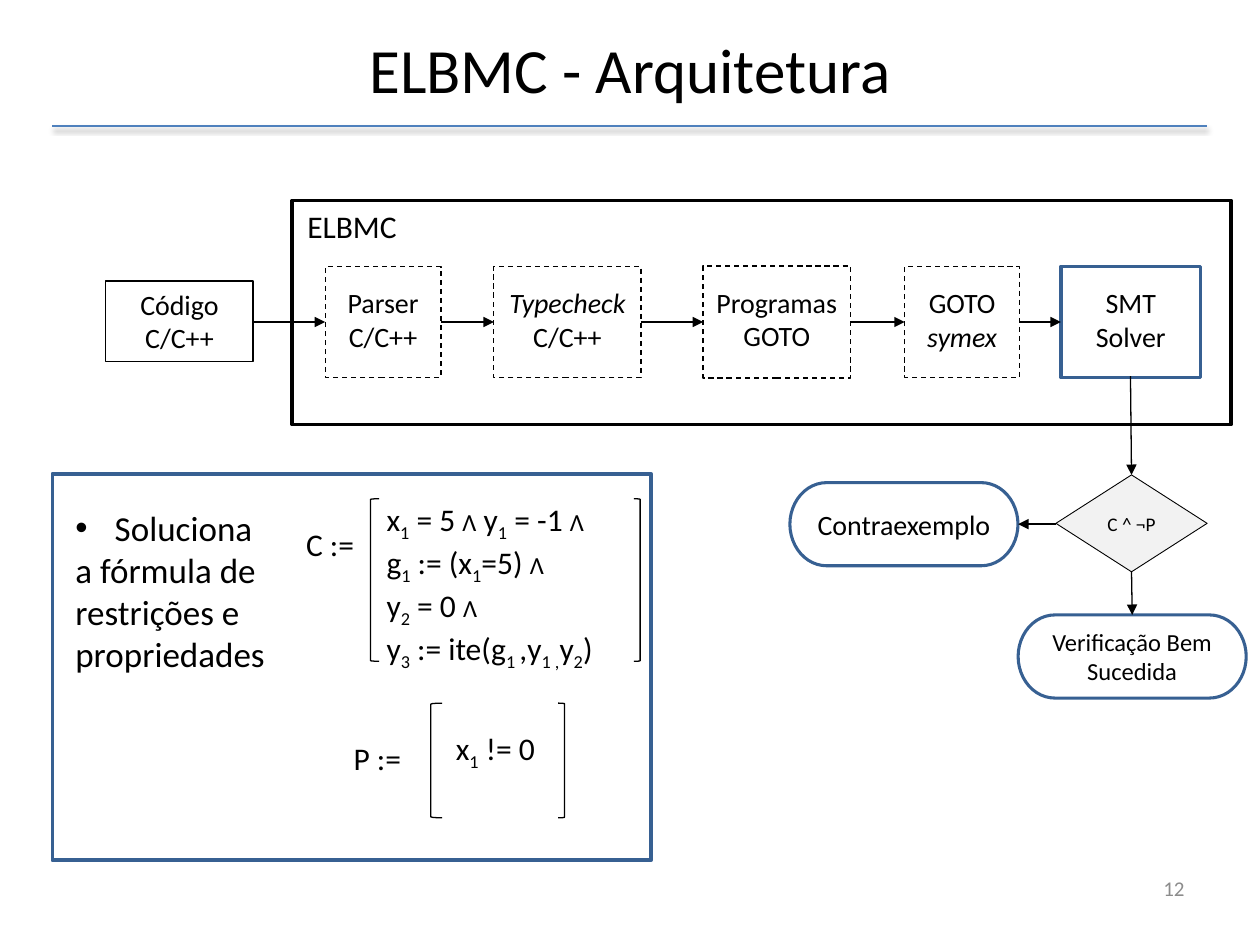
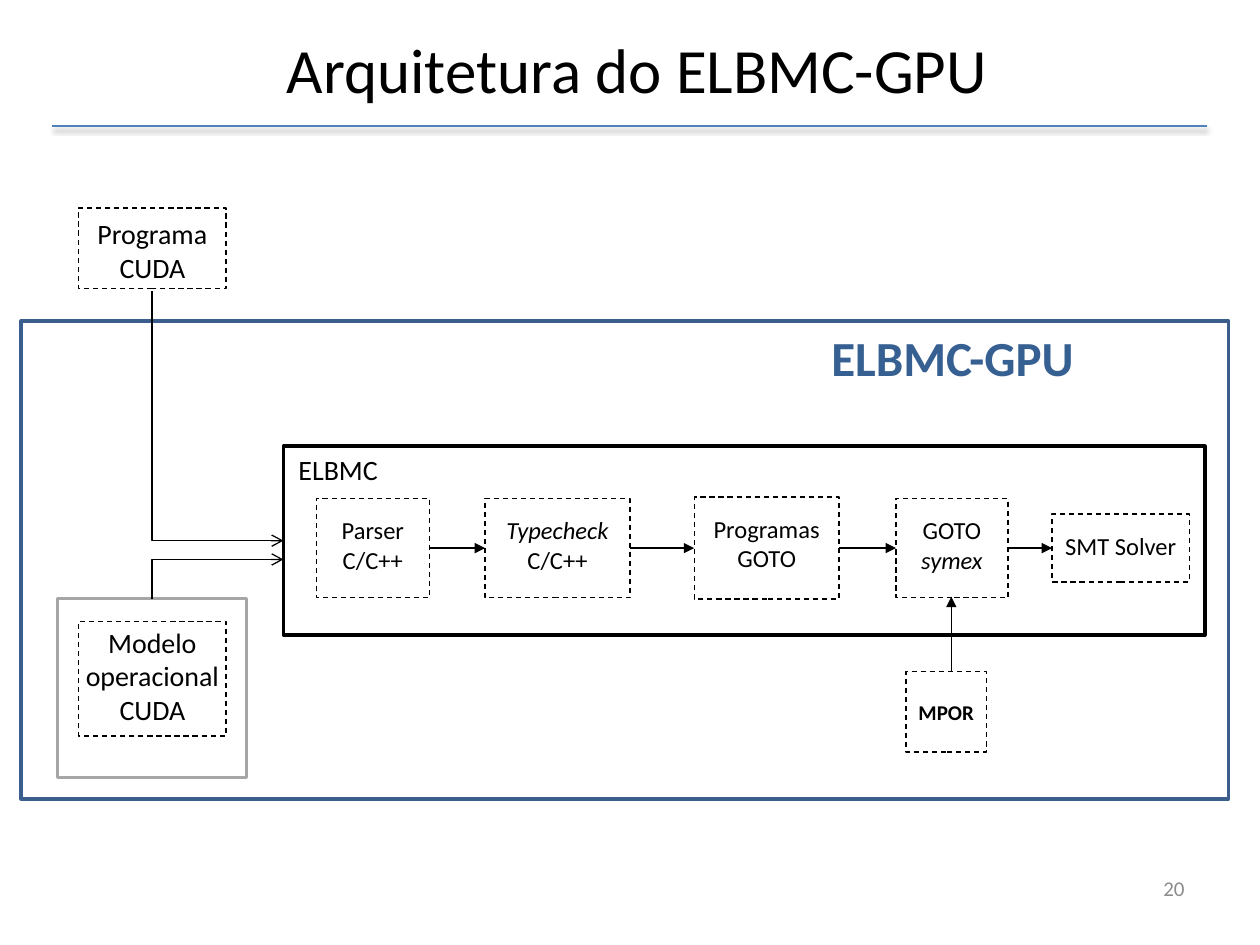
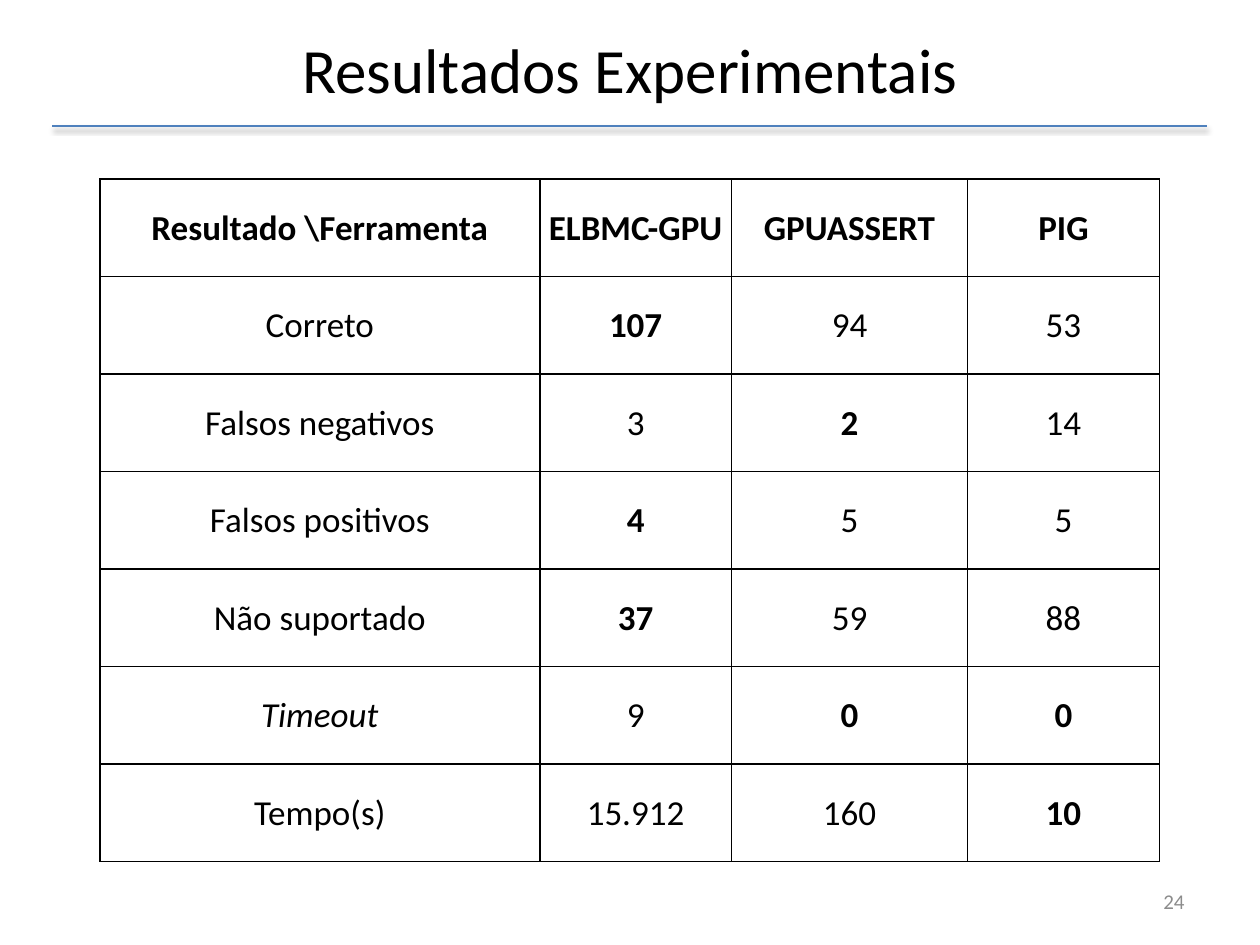
"""Builds three slides on a software verifier: two architecture diagrams and a results table."""
from pptx import Presentation
from pptx.dml.color import RGBColor as RGB
from pptx.enum.dml import MSO_LINE as Dash
from pptx.enum.shapes import MSO_CONNECTOR as Link, MSO_SHAPE as Kind
from pptx.enum.text import MSO_ANCHOR as Anchor, PP_ALIGN as Align
from pptx.oxml import parse_xml
from pptx.oxml.ns import nsdecls
from pptx.util import Pt

HUES = {"black": "000000", "white": "FFFFFF", "navy": "376092", "steel": "3A5F8C",
        "rule": "4F81BD", "gray": "A6A6A6", "pale": "F2F2F2", "number": "8C8C8C"}
FONT = "Calibri"


def put(frame, lines, size, align=Align.CENTER, hue="black"):
    """Write lines; '|' parts runs, and a run may open with _ sub, / italic, * bold or ~ small."""
    frame.word_wrap = True
    for i, line in enumerate(lines):
        para = frame.add_paragraph() if i else frame.paragraphs[0]
        para.alignment = align
        for part in line.split("|"):
            mark = part[0] if part[0] in "_/*~" else ""
            run = para.add_run()
            run.text = part[len(mark):]
            run.font.name = FONT
            run.font.size = Pt(14 if mark == "~" else size)
            run.font.bold = mark == "*"
            run.font.italic = mark == "/"
            run.font.color.rgb = RGB.from_string(HUES[hue])
            if mark == "_":
                run._r.get_or_add_rPr().set("baseline", "-25000")


def box(page, kind, at, line="black", wide=0.75, fill=None, dash=False, lines=(), size=16,
        align=Align.CENTER, anchor=Anchor.TOP, top=3.6, side=7.2, hue="black"):
    """Add a preset shape, or a plain text box when kind is None."""
    at = [Pt(n) for n in at]
    if kind is None:
        shape = page.shapes.add_textbox(*at)
    else:
        shape = page.shapes.add_shape(kind, *at)
        shape.shadow.inherit = False
        shape.line.color.rgb = RGB.from_string(HUES[line])
        shape.line.width = Pt(wide)
        if dash:
            shape.line.dash_style = Dash.DASH
        if fill:
            shape.fill.solid()
            shape.fill.fore_color.rgb = RGB.from_string(HUES[fill])
        else:
            shape.fill.background()
    frame = shape.text_frame
    frame.vertical_anchor = anchor
    frame.margin_top = Pt(top)
    frame.margin_left = frame.margin_right = Pt(side)
    put(frame, lines, size, align, hue)
    return shape


deck = Presentation()
deck.slide_width, deck.slide_height = Pt(720), Pt(540)

pages = []
for title, number, low in [("ELBMC - Arquitetura", "12", 493.2),
                           (" Arquitetura do ELBMC-GPU", "20", 493.2),
                           ("Resultados Experimentais", "24", 500.4)]:
    page = deck.slides.add_slide(deck.slide_layouts[5])
    head = page.shapes.title
    head.left, head.top, head.width, head.height = Pt(36), Pt(-6), Pt(648), Pt(90)
    head.text_frame.vertical_anchor = Anchor.MIDDLE
    put(head.text_frame, [title], 36)
    rule = page.shapes.add_connector(Link.STRAIGHT, Pt(30), Pt(72), Pt(690), Pt(72))
    rule.line.color.rgb = RGB.from_string(HUES["rule"])
    rule.line.width = Pt(1)
    rule._element.spPr.append(parse_xml(
        f'<a:effectLst {nsdecls("a")}><a:outerShdw blurRad="{Pt(3.1)}" dist="{Pt(1.8)}" '
        f'dir="5400000" rotWithShape="0"><a:srgbClr val="{HUES["black"]}">'
        '<a:alpha val="35000"/></a:srgbClr></a:outerShdw></a:effectLst>'))
    box(page, None, (516, low, 168, 28.8), lines=[number], size=12, align=Align.RIGHT,
        anchor=Anchor.MIDDLE, hue="number")
    pages.append(page)
core, gpu, results = pages

box(gpu, Kind.RECTANGLE, (12, 183.5, 690, 273), "steel", 2)
box(gpu, None, (468, 183.5, 160, 41), lines=["*ELBMC-GPU"], size=28, align=Align.LEFT, hue="navy")
box(gpu, Kind.RECTANGLE, (33, 342, 108, 102.2), "gray", 2)
box(gpu, Kind.RECTANGLE, (45, 118.8, 84.2, 46), dash=True, lines=["Programa", "CUDA"],
    top=5, side=0)
box(gpu, Kind.RECTANGLE, (45, 355, 84.2, 65.5), dash=True,
    lines=["Modelo", "operacional", "CUDA"], top=2.2, side=0)

links = []
names = [["Parser", "C/C++"], ["/Typecheck", "C/C++"], ["Programas", "GOTO"],
         ["GOTO", "/symex"], ["SMT Solver"]]
flows = [
    (core, (167, 114.5, 536.5, 128.2), 18, 16, 11, 184,
     [(185.8, 66.2, 63.4), (282.2, 84.2, 63.4), (401.8, 84.2, 64), (517, 65.5, 63.4),
      (606.2, 80, 63.4)]),
    (gpu, (162, 255, 526.5, 108), 16, 14, 9.7, 313.2,
     [(180.7, 64.8, 56.9), (277.2, 82.8, 56.9), (396.7, 82.8, 58.3), (512, 64, 56.9),
      (601.2, 78.5, 38.9)])]
for page, frame, big, size, top, mid, spans in flows:
    box(page, Kind.RECTANGLE, frame, wide=2, fill="white", lines=["ELBMC"], size=big,
        align=Align.LEFT, side=8.6)
    for name, (x, wide, tall) in zip(names, spans):
        solver = page is core and name is names[-1]
        box(page, Kind.RECTANGLE, (x, mid - tall / 2, wide, tall), "navy" if solver else "black",
            2 if solver else 0.75, "white", not solver, name, size, top=top)
    for (x, wide, _), (after, _, _) in zip(spans, spans[1:]):
        links.append((page, x + wide, mid, after, mid))

box(core, Kind.RECTANGLE, (60.5, 160.6, 84.2, 46), lines=["Código", "C/C++"])
box(core, Kind.FLOWCHART_DECISION, (603.4, 271.4, 86.4, 55.4), wide=0.5, fill="pale",
    lines=["C ^ ¬P"], size=11, anchor=Anchor.MIDDLE)
for x, y, text, size in [(451.4, 275.8, "Contraexemplo", 16),
                         (581.8, 351.4, "Verificação Bem Sucedida", 14)]:
    box(core, Kind.FLOWCHART_TERMINATOR, (x, y, 130.3, 47.5), "navy", 1.75, "white",
        lines=[text], size=size, anchor=Anchor.MIDDLE)

box(core, Kind.RECTANGLE, (30, 270.7, 342, 221), "navy", 2.25)
task = box(core, None, (36, 285.8, 131.8, 104.4), size=20, align=Align.JUSTIFY,
           lines=["Soluciona", "a fórmula de", "restrições e", "propriedades"])
first = task.text_frame.paragraphs[0]._p.get_or_add_pPr()
first.set("marL", str(Pt(22.5)))
first.set("indent", str(Pt(-22.5)))
first.append(parse_xml(f'<a:buFont {nsdecls("a")} typeface="Arial"/>'))
first.append(parse_xml(f'<a:buChar {nsdecls("a")} char="•"/>'))

for at, lines in [
        ((167.8, 296.6, 51.8, 28.8), ["C :="]),
        ((195, 419, 51.8, 28.8), ["P :="]),
        ((213.8, 282.2, 152.6, 179.3),
         ["x|_1| = 5 |~Ʌ| y|_1| = -1 |~Ʌ", "g|_1| := (x|_1|=5) |~Ʌ", "y|_2| = 0 |~Ʌ",
          "y|_3| := ite(g|_1 |,y|_1 ,|y|_2|)"]),
        ((253.4, 413.3, 72.7, 94.3), ["x|_1| != 0"])]:
    box(core, None, at, lines=lines, size=18, align=Align.LEFT)
for x, y, wide, tall, flip in [(211.7, 285, 5, 92.9, False), (362.2, 285, 3.6, 92.9, True),
                               (246.2, 401.8, 6.5, 65.5, False), (319, 401.8, 3.6, 65.5, True)]:
    brace = box(core, Kind.LEFT_BRACKET, (x, y, wide, tall))
    if flip:
        brace._element.spPr.xfrm.set("flipH", "1")

box(gpu, Kind.RECTANGLE, (517.7, 383.8, 46, 46), dash=True, lines=["*MPOR"], size=12,
    anchor=Anchor.MIDDLE, side=0)

links += [(core, 144.7, 184, 185.8, 184), (core, 646, 215, 646.6, 271.4),
          (core, 646.6, 326.8, 647, 351.4), (core, 603.4, 299.5, 581.8, 299.5),
          (gpu, 543.6, 383.8, 543.6, 341), (gpu, 162, 319.7, 87, 342),
          (gpu, 162, 309, 87, 166.3)]
for page, *ends in links:
    bent = ends[0] != ends[2] and abs(ends[1] - ends[3]) > 5 and page is gpu
    link = page.shapes.add_connector(Link.ELBOW if bent else Link.STRAIGHT,
                                     *[Pt(n) for n in ends])
    link.line.color.rgb = RGB.from_string(HUES["black"])
    link.line.width = Pt(0.75)
    tip = '<a:headEnd {} type="arrow"/>' if bent else '<a:tailEnd {} type="triangle"/>'
    link.line._get_or_add_ln().append(parse_xml(tip.format(nsdecls("a"))))
    shape = link._element.spPr
    shape.append(parse_xml(f'<a:effectLst {nsdecls("a")}/>'))
    if bent:
        shape.prstGeom.set("prst", "bentConnector2")

rows = [["*Resultado \\Ferramenta", "*ELBMC-GPU", "*GPUASSERT", "*PIG"],
        ["Correto", "*107", "94", "53"],
        ["Falsos negativos", "3", "*2", "14"],
        ["Falsos positivos", "*4", "5", "5"],
        ["Não suportado", "*37", "59", "88"],
        ["/Timeout", "9", "*0", "*0"],
        ["Tempo(s)", "15.912", "160", "*10"]]
widths = [251.5, 109.5, 135, 109.5]
tall = 55.75
grid = results.shapes.add_table(len(rows), len(widths), Pt(57), Pt(102.2), Pt(sum(widths)),
                                Pt(tall * len(rows))).table
grid.first_row = grid.horz_banding = False
for col, wide in zip(grid.columns, widths):
    col.width = Pt(wide)
for r, row in enumerate(rows):
    grid.rows[r].height = Pt(tall)
    for c, text in enumerate(row):
        cell = grid.cell(r, c)
        cell.vertical_anchor = Anchor.MIDDLE
        cell.margin_left = cell.margin_right = cell.margin_top = Pt(0.72)
        cell.margin_bottom = Pt(0)
        cell.fill.background()
        put(cell.text_frame, [text], 20)
        for i, edge in enumerate("LRTB"):
            cell._tc.get_or_add_tcPr().insert(i, parse_xml(
                f'<a:ln{edge} {nsdecls("a")} w="{Pt(1)}"><a:solidFill>'
                f'<a:srgbClr val="{HUES["black"]}"/></a:solidFill></a:ln{edge}>'))

deck.save("out.pptx")
